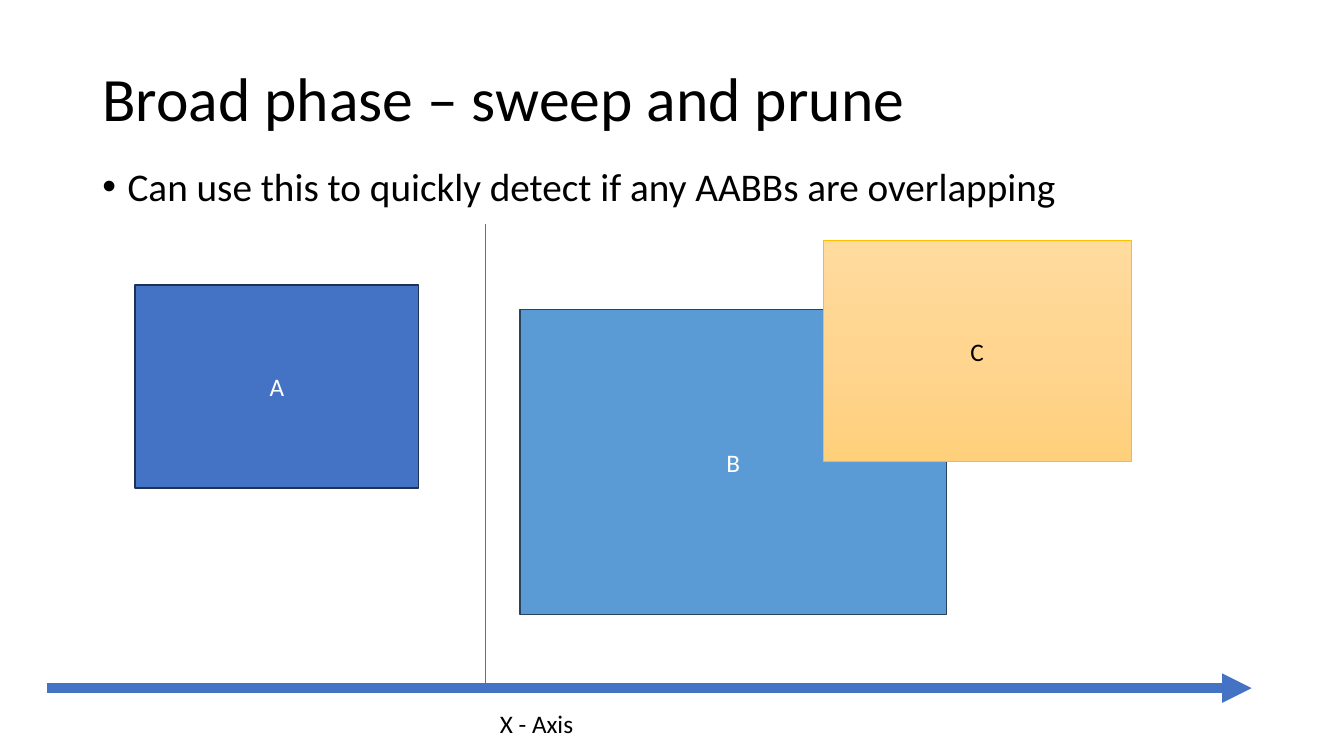
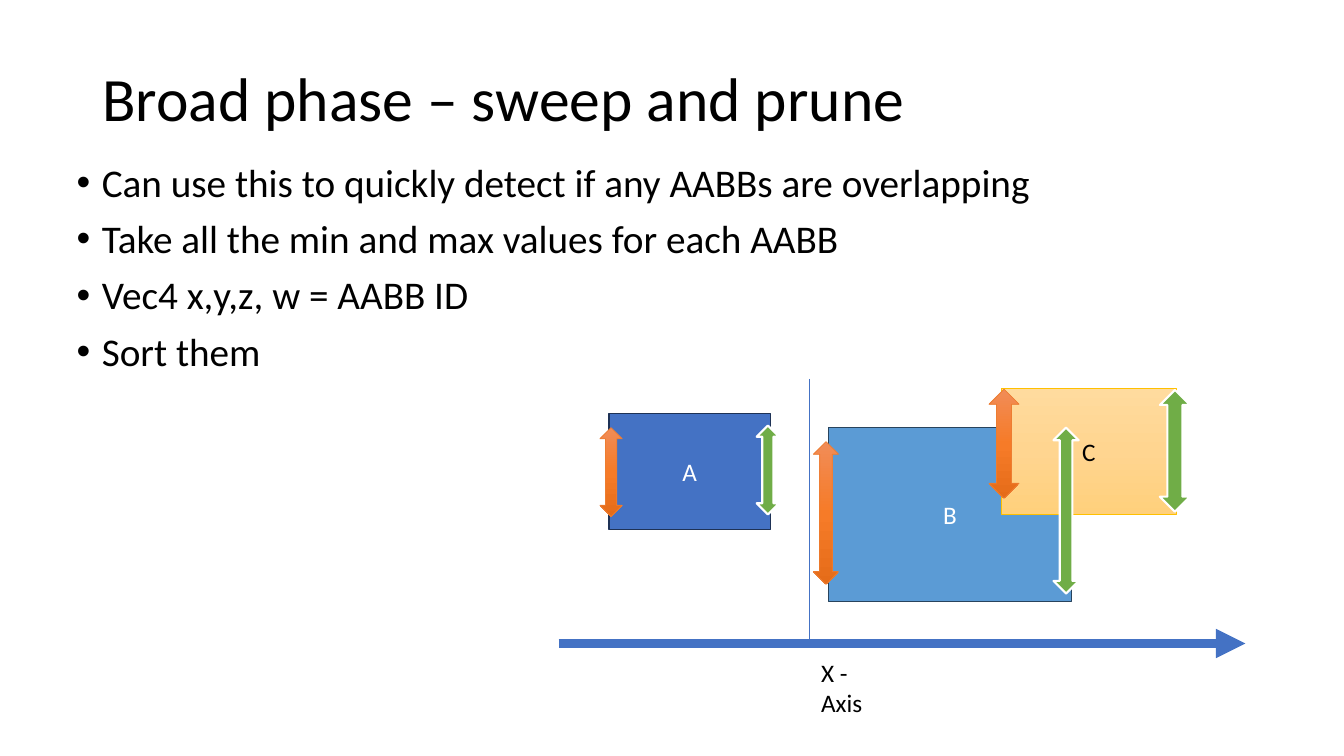
import copy

import pptx
import pptx.dml.color
import pptx.enum.dml
import pptx.enum.shapes
import pptx.enum.text
import pptx.oxml
import pptx.oxml.ns
import pptx.util

Pt = pptx.util.Pt
RGBColor = pptx.dml.color.RGBColor
SHAPE = pptx.enum.shapes.MSO_SHAPE
ALIGN = pptx.enum.text.PP_ALIGN
ANCHOR = pptx.enum.text.MSO_ANCHOR
AUTO_SIZE = pptx.enum.text.MSO_AUTO_SIZE

FONT = "Calibri"
TITLE = "Broad phase – sweep and prune"
BLACK = RGBColor(0x00, 0x00, 0x00)
WHITE = RGBColor(0xFF, 0xFF, 0xFF)
BLUE = RGBColor(0x44, 0x72, 0xC4)
BLUE_EDGE = RGBColor(0x1E, 0x32, 0x56)
SKY = RGBColor(0x5B, 0x9B, 0xD5)
SKY_EDGE = RGBColor(0x28, 0x44, 0x5D)
GOLD_EDGE = RGBColor(0xFF, 0xC0, 0x00)
ORANGE_EDGE = RGBColor(0xED, 0x7D, 0x31)
GREEN = RGBColor(0x70, 0xAD, 0x47)
GOLD_BLEND = (RGBColor(0xFF, 0xDB, 0x9E), RGBColor(0xFF, 0xD5, 0x90),
              RGBColor(0xFF, 0xD0, 0x7C))
ORANGE_BLEND = (RGBColor(0xF1, 0x8C, 0x57), RGBColor(0xF6, 0x7B, 0x28),
                RGBColor(0xE5, 0x6C, 0x19))

# name, (left, top, width, height), fill, edge colour, edge width, text colour
BOUNDING_BOXES = (
    ("A", (96.5, 203.5, 202.5, 145), BLUE, BLUE_EDGE, 1, WHITE),
    ("B", (371.5, 221, 304.5, 218), SKY, SKY_EDGE, 1, WHITE),
    ("C", (588, 172, 220, 157.5), GOLD_BLEND, GOLD_EDGE, 0.5, BLACK),
)
MIN_ARROWS = ((428.5, 305.5, 16, 63.5), (581, 315.5, 18, 102),
              (706.5, 278, 21.5, 78))
MAX_ARROWS = ((540.5, 304, 16, 63.5), (752.5, 305.5, 18, 118.5),
              (828.5, 278.5, 21.5, 87))


def set_font(para, size, color):
    """Give a paragraph the deck's font."""
    para.font.name = FONT
    para.font.size = Pt(size)
    para.font.color.rgb = color


def move(shape, left, top, width, height):
    """Place a shape, in points."""
    shape.left, shape.top = Pt(left), Pt(top)
    shape.width, shape.height = Pt(width), Pt(height)


def paint(shape, fill):
    """Fill with one colour, or blend three from top to bottom."""
    if isinstance(fill, RGBColor):
        shape.fill.solid()
        shape.fill.fore_color.rgb = fill
        return
    shape.fill.gradient()
    shape.fill.gradient_angle = 270
    stop_list = shape._element.spPr.find(".//" + pptx.oxml.ns.qn("a:gsLst"))
    stop_list.insert(1, copy.deepcopy(stop_list[0]))
    for index, stop in enumerate(shape.fill.gradient_stops):
        stop.position = index / 2
        stop.color.rgb = fill[index]


def add_figure(shapes, kind, place, fill, edge, edge_width):
    """Add a filled, outlined preset shape."""
    figure = shapes.add_shape(kind, *(Pt(length) for length in place))
    figure.shadow.inherit = False
    paint(figure, fill)
    figure.line.color.rgb = edge
    figure.line.width = Pt(edge_width)
    return figure


def add_line(shapes, start, end, width, arrow=False):
    """Add a straight blue line, with an arrowhead at its end if asked."""
    line = shapes.add_connector(
        pptx.enum.shapes.MSO_CONNECTOR.STRAIGHT,
        *(Pt(length) for length in start + end))
    line.line.color.rgb = BLUE
    line.line.width = Pt(width)
    if arrow:
        head = pptx.oxml.parse_xml(
            f'<a:tailEnd {pptx.oxml.ns.nsdecls("a")} type="triangle"/>')
        line.line._get_or_add_ln().append(head)
    line._element.spPr.append(pptx.oxml.parse_xml(
        f'<a:effectLst {pptx.oxml.ns.nsdecls("a")}/>'))


def add_page(deck, bullets, place):
    """Add a slide with the shared title and a bulleted list."""
    page = deck.slides.add_slide(deck.slide_layouts[1])
    title, body = page.placeholders
    move(title, 66, 29, 828, 87)
    title.text_frame.text = TITLE
    title.text_frame.vertical_anchor = ANCHOR.MIDDLE
    heading = title.text_frame.paragraphs[0]
    heading.alignment = ALIGN.LEFT
    heading.line_spacing = 0.9
    set_font(heading, 44, BLACK)

    move(body, *place)
    body.text_frame.text = "\n".join(bullets)
    body.text_frame.auto_size = AUTO_SIZE.NONE
    for para in body.text_frame.paragraphs:
        para.line_spacing = 0.9
        para.space_before = Pt(10)
        set_font(para, 28, BLACK)
        properties = para._p.get_or_add_pPr()
        properties.set("marL", str(Pt(18)))
        properties.set("indent", str(-Pt(18)))
    return page


def add_diagram(shapes, left=0, top=0, scale=1):
    """Draw the bounding boxes above the x axis, shifted and scaled."""
    def point(x, y):
        """Convert a diagram point to slide points."""
        return left + x * scale, top + y * scale

    for name, (x, y, width, height), fill, edge, edge_width, ink in BOUNDING_BOXES:
        place = point(x, y) + (width * scale, height * scale)
        box = add_figure(shapes, SHAPE.RECTANGLE, place, fill, edge, edge_width)
        box.text_frame.text = name
        box.text_frame.vertical_anchor = ANCHOR.MIDDLE
        para = box.text_frame.paragraphs[0]
        para.alignment = ALIGN.CENTER
        set_font(para, 18, ink)

    add_line(shapes, point(33.5, 491.5), point(894, 491.5), 7, arrow=True)
    place = point(350, 502.5) + (92 * scale, 29 * scale)
    label = shapes.add_textbox(*(Pt(length) for length in place))
    label.text_frame.word_wrap = True
    label.text_frame.auto_size = AUTO_SIZE.SHAPE_TO_FIT_TEXT
    label.text_frame.text = "X - Axis"
    set_font(label.text_frame.paragraphs[0], 18, BLACK)
    add_line(shapes, point(347, 160), point(347, 491.5), 0.5)


def main():
    """Build and save the deck."""
    deck = pptx.Presentation()
    deck.slide_width, deck.slide_height = Pt(960), Pt(540)
    bullets = (
        "Can use this to quickly detect if any AABBs are overlapping",
        "Take all the min and max values for each AABB",
        "Vec4 x,y,z, w = AABB ID",
        "Sort them",
    )

    overlap_page = add_page(deck, bullets[:1], (66, 116, 828, 87))
    add_diagram(overlap_page.shapes)

    sort_page = add_page(deck, bullets, (47.5, 113, 828, 161))
    add_diagram(sort_page.shapes.add_group_shape().shapes, 380, 179.5, 0.57)
    for place in MIN_ARROWS:
        add_figure(sort_page.shapes, SHAPE.UP_DOWN_ARROW, place,
                   ORANGE_BLEND, ORANGE_EDGE, 0.5)
    for place in MAX_ARROWS:
        add_figure(sort_page.shapes, SHAPE.UP_DOWN_ARROW, place,
                   GREEN, WHITE, 1.5)
    deck.save("out.pptx")


if __name__ == "__main__":
    main()
